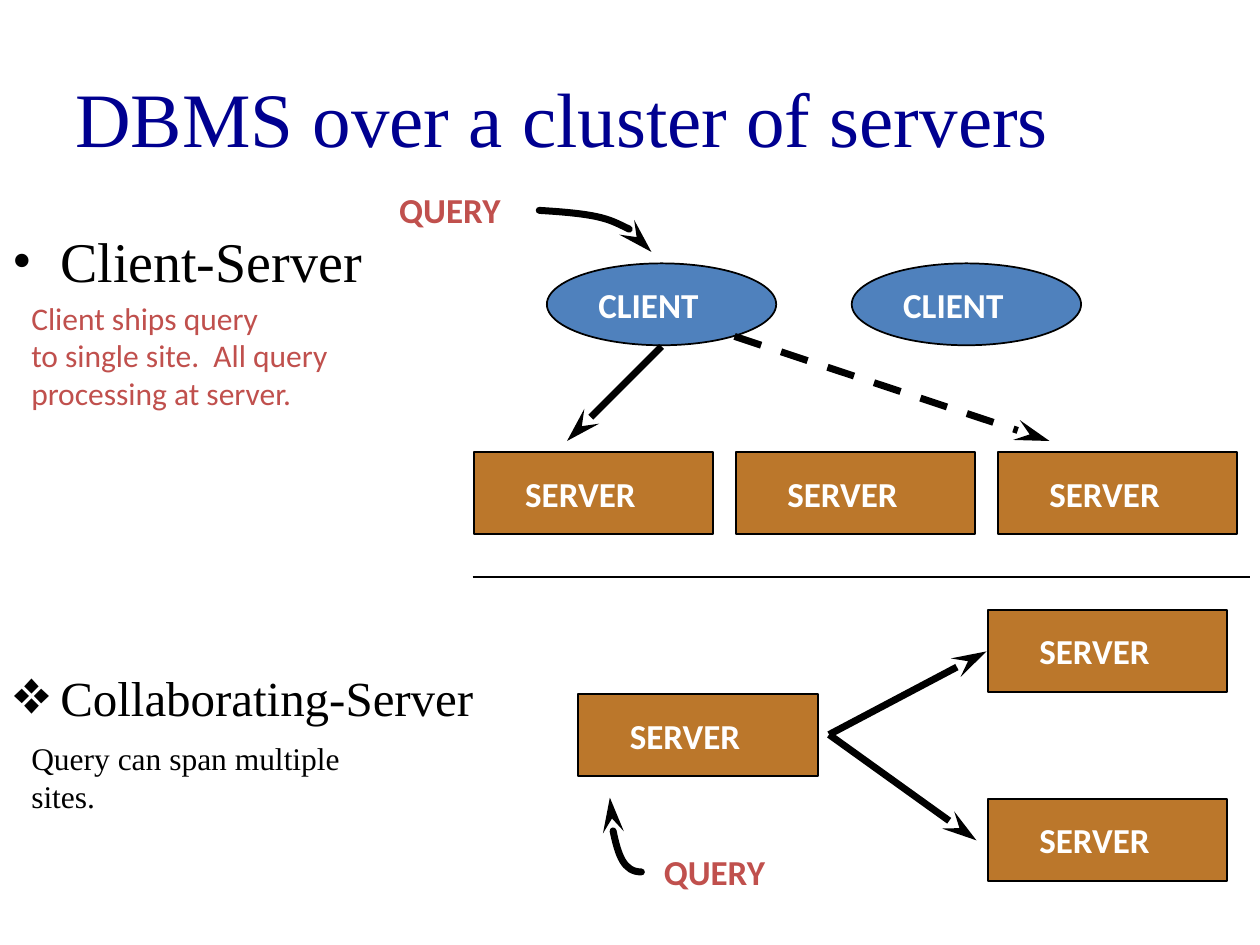
from dataclasses import dataclass

from lxml.etree import SubElement
from pptx import Presentation
from pptx.dml.color import RGBColor
from pptx.enum.dml import MSO_LINE
from pptx.enum.shapes import MSO_CONNECTOR as Link, MSO_SHAPE as Form
from pptx.enum.text import MSO_ANCHOR as Anchor
from pptx.oxml.ns import qn
from pptx.util import Inches, Pt

SERIF, SANS = "Times New Roman", "Calibri"
BLACK, WHITE, NAVY = "000000", "FFFFFF", "000090"
RED, BLUE, BROWN = "C0504D", "4F81BD", "BB772B"
Point = tuple[float, float]


@dataclass
class Label:
    text: str
    x: float
    y: float
    w: float
    h: float
    size: int
    face: str = SANS
    color: str = BLACK
    bold: bool = False
    mark: str = ""
    pitch: float = 0  # fixed line height in points


@dataclass
class Node:
    text: str
    x: float
    y: float
    w: float
    form: Form
    fill: str


@dataclass
class Arrow:
    start: Point
    end: Point
    dash: bool = False


def paint(fill, color: str) -> None:
    fill.solid()
    fill.fore_color.rgb = RGBColor.from_string(color)


def stroke(line, width: float) -> None:
    paint(line.fill, BLACK)
    line.width = Pt(width)


def add_head(line) -> None:
    SubElement(line._get_or_add_ln(), qn("a:tailEnd"),
               type="stealth", w="med", len="lg")


def add_bullet(para, mark: str, face: str) -> None:
    para.space_before = Pt(3)
    props = para._p.get_or_add_pPr()
    props.set("marL", str(Inches(0.38)))
    props.set("indent", str(-Inches(0.38)))
    SubElement(props, qn("a:buFont"), typeface=face)
    SubElement(props, qn("a:buChar"), char=mark)


def add_label(slide, item: Label):
    box = slide.shapes.add_textbox(*map(Inches, (item.x, item.y, item.w, item.h)))
    frame = box.text_frame
    frame.word_wrap = True
    frame.text = item.text
    for para in frame.paragraphs:
        if item.pitch:
            para.line_spacing = Pt(item.pitch)
        if item.mark:
            add_bullet(para, item.mark, item.face)
        font = para.font
        font.name, font.size, font.bold = item.face, Pt(item.size), item.bold
        paint(font.fill, item.color)
    return frame


def add_node(slide, node: Node) -> None:
    shape = slide.shapes.add_shape(
        node.form, *map(Inches, (node.x, node.y, node.w, 0.65)))
    shape.shadow.inherit = False
    paint(shape.fill, node.fill)
    stroke(shape.line, 1)
    add_label(slide, Label(node.text, node.x + 0.31, node.y + 0.11, 1.33, 0.43,
                           20, color=WHITE, bold=True))


def add_line(slide, start: Point, end: Point, width: float):
    link = slide.shapes.add_connector(
        Link.STRAIGHT, *map(Inches, (*start, *end)))
    stroke(link.line, width)
    SubElement(link._element.spPr, qn("a:effectLst"))
    return link.line


def add_arrow(slide, arrow: Arrow) -> None:
    line = add_line(slide, arrow.start, arrow.end, 4)
    if arrow.dash:
        line.dash_style = MSO_LINE.DASH
    add_head(line)


def add_curve(slide, *points: Point) -> None:
    """Draw one Bezier arc: the three straight steps become its controls."""
    start, *bends = [(Inches(x), Inches(y)) for x, y in points]
    build = slide.shapes.build_freeform(*start)
    build.add_line_segments(bends, close=False)
    shape = build.convert_to_shape()
    shape.shadow.inherit = False
    shape.fill.background()
    stroke(shape.line, 4)
    shape.line._get_or_add_ln().set("cap", "rnd")
    add_head(shape.line)
    steps = list(shape._element.iter(qn("a:lnTo")))
    arc = SubElement(steps[0].getparent(), qn("a:cubicBezTo"))
    for step in steps:
        arc.append(step[0])
        step.getparent().remove(step)


def server(x: float, y: float) -> Node:
    return Node("SERVER", x, y, 1.9, Form.RECTANGLE, BROWN)


def client(x: float) -> Node:
    return Node("CLIENT", x, 2.09, 1.82, Form.OVAL, BLUE)


def query(x: float, y: float) -> Label:
    return Label("QUERY", x, y, 1.2, 0.43, 20, color=RED, bold=True)


TITLE = Label("DBMS over a cluster of servers", 0.5, 0.3, 9, 1.25, 44, SERIF, NAVY)
LABELS = [
    Label("Client-Server", 0, 1.75, 3.17, 0.58, 32, SERIF, mark="•"),
    Label("Client ships query\nto single site.  All query\nprocessing at server.",
          0.15, 2.32, 2.7, 1.01, 18, color=RED),
    Label("Collaborating-Server", 0, 5.25, 5.42, 0.5, 28, SERIF, mark="❖"),
    Label("Query can span multiple\nsites.", 0.15, 5.82, 2.8, 0.71, 18, SERIF,
          pitch=21.5),
    query(3.07, 1.45),
    query(5.17, 6.7),
]
NODES = [
    *(client(4.34 + 2.42 * i) for i in range(2)),
    *(server(3.76 + 2.08 * i, 3.59) for i in range(3)),
    server(4.59, 5.51),
    *(server(7.84, 4.84 + 1.5 * i) for i in range(2)),
]
ARROWS = [
    Arrow((5.25, 2.75), (4.5, 3.5)),
    Arrow((5.83, 2.67), (8.33, 3.5), dash=True),
    Arrow((6.58, 5.83), (7.83, 5.17)),
    Arrow((6.58, 5.83), (7.75, 6.67)),
]
CURVES = [
    [(4.28, 1.67), (4.79, 1.7), (5.17, 1.84), (5.17, 2)],
    [(5.09, 6.92), (4.95, 6.92), (4.84, 6.66), (4.84, 6.33)],
]


def main() -> None:
    deck = Presentation()
    deck.slide_width, deck.slide_height = Inches(10), Inches(7.5)
    slide = deck.slides.add_slide(deck.slide_layouts[6])

    # Title and side notes
    add_label(slide, TITLE).vertical_anchor = Anchor.MIDDLE
    for item in LABELS:
        add_label(slide, item)

    # Clients and servers
    for node in NODES:
        add_node(slide, node)

    # Query flow
    for arrow in ARROWS:
        add_arrow(slide, arrow)
    for curve in CURVES:
        add_curve(slide, *curve)

    # Divider between the two designs
    add_line(slide, (3.75, 4.58), (9.92, 4.58), 1)

    deck.save("out.pptx")


if __name__ == "__main__":
    main()
